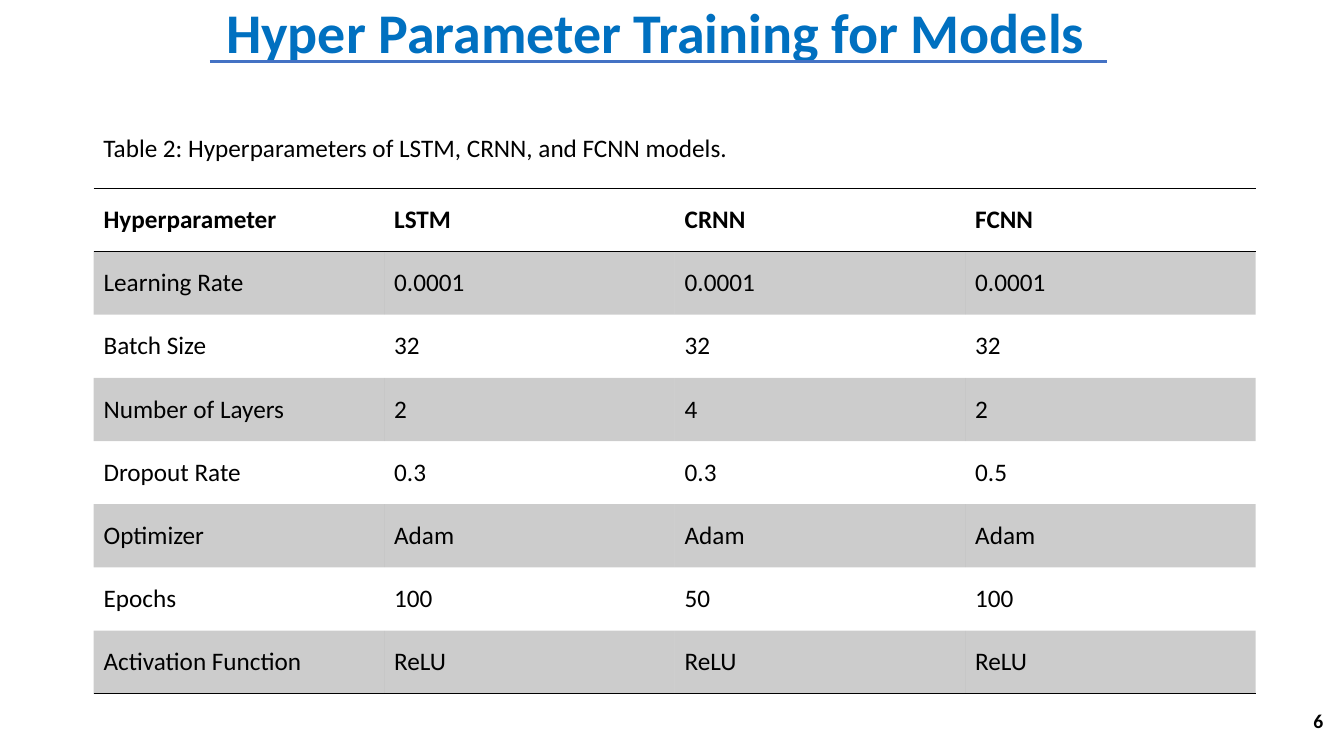
import pptx
import pptx.dml.color
import pptx.enum.shapes
import pptx.enum.text
import pptx.oxml
import pptx.oxml.ns
import pptx.util

Pt = pptx.util.Pt
Align = pptx.enum.text.PP_ALIGN
Anchor = pptx.enum.text.MSO_ANCHOR
qn = pptx.oxml.ns.qn
PLAIN = "{2D5ABB26-0587-4C30-8999-92F81FD0307C}"
ROWS = [
    ("Hyperparameter", "LSTM", "CRNN", "FCNN"),
    ("Learning Rate", "0.0001", "0.0001", "0.0001"),
    ("Batch Size", "32", "32", "32"),
    ("Number of Layers", "2", "4", "2"),
    ("Dropout Rate", "0.3", "0.3", "0.5"),
    ("Optimizer", "Adam", "Adam", "Adam"),
    ("Epochs", "100", "50", "100"),
    ("Activation Function", "ReLU", "ReLU", "ReLU"),
]


def color(code):
    return pptx.dml.color.RGBColor.from_string(code)


def write(frame, text, size=18, ink="000000", bold=False, align=Align.LEFT):
    para = frame.paragraphs[0]
    para.alignment = align
    run = para.add_run()
    run.text = text
    run.font.name = "Calibri"
    run.font.size = Pt(size)
    run.font.bold = bold
    run.font.color.rgb = color(ink)


def xml(tag, body="", attrs=""):
    space = pptx.oxml.ns.nsdecls("a")
    return pptx.oxml.parse_xml(f"<a:{tag} {space} {attrs}>{body}</a:{tag}>")


class Deck:
    """Holds the page style and the current slide."""

    def __init__(self, wide, high):
        self.show = pptx.Presentation()
        self.show.slide_width = Pt(wide)
        self.show.slide_height = Pt(high)
        self.slide = self.show.slides.add_slide(self.show.slide_layouts[5])
        self.ink = "000000"

    def frame(self, shape, anchor):
        frame = shape.text_frame
        frame.word_wrap = True
        frame.auto_size = pptx.enum.text.MSO_AUTO_SIZE.NONE
        frame.vertical_anchor = anchor
        return frame

    def title(self, text, left, top, wide, high, **style):
        shape = self.slide.shapes.title
        shape.left, shape.top = Pt(left), Pt(top)
        shape.width, shape.height = Pt(wide), Pt(high)
        write(self.frame(shape, Anchor.TOP), text, **style)

    def text(self, text, left, top, wide, high, anchor=Anchor.TOP, **style):
        shape = self.slide.shapes.add_textbox(Pt(left), Pt(top), Pt(wide), Pt(high))
        write(self.frame(shape, anchor), text, **style)

    def line(self, x1, y1, x2, y2, ink, width):
        kind = pptx.enum.shapes.MSO_CONNECTOR.STRAIGHT
        line = self.slide.shapes.add_connector(kind, Pt(x1), Pt(y1), Pt(x2), Pt(y2))
        line.line.color.rgb = color(ink)
        line.line.width = Pt(width)
        line._element.spPr.append(xml("effectLst"))

    def rule(self, cell, side):
        fill = f'<a:solidFill><a:srgbClr val="{self.ink}"/></a:solidFill>'
        cell._tc.get_or_add_tcPr().append(xml(side, fill, f'w="{Pt(1)}"'))

    def shade(self, cell, alpha):
        cell.fill.solid()
        cell.fill.fore_color.rgb = color(self.ink)
        tint = cell._tc.tcPr.find(qn("a:solidFill")).find(qn("a:srgbClr"))
        tint.append(xml("alpha", attrs=f'val="{alpha * 1000}"'))

    def table(self, rows, left, top, wide, high):
        count = len(rows)
        shape = self.slide.shapes.add_table(
            count, len(rows[0]), Pt(left), Pt(top), Pt(wide), Pt(high))
        table = shape.table
        table.horz_banding = False
        table._tbl.tblPr.find(qn("a:tableStyleId")).text = PLAIN
        for r, row in enumerate(rows):
            for c, text in enumerate(row):
                cell = table.cell(r, c)
                cell.vertical_anchor = Anchor.MIDDLE
                write(cell.text_frame, text, bold=r == 0)
                if r == 0:
                    self.rule(cell, "lnT")
                if r in (0, count - 1):
                    self.rule(cell, "lnB")
                if r % 2:
                    self.shade(cell, 20)
                else:
                    cell.fill.background()


def main():
    deck = Deck(960, 540)
    deck.table(ROWS, 66.8, 134.4, 830.2, 361.4)
    deck.title("Hyper Parameter Training for Models", 131.5, -5.3, 673.2, 55.4,
               size=40, ink="0070C0", bold=True, align=Align.CENTER)
    deck.line(150, 44, 790.6, 44, "4472C4", 2.25)
    deck.text("Table 2: Hyperparameters of LSTM, CRNN, and FCNN models.",
              66.8, 90.7, 543, 72.7)
    deck.text("6", 909.8, 500.4, 42.5, 28.8, anchor=Anchor.MIDDLE,
              size=14, bold=True, align=Align.RIGHT)
    deck.show.save("out.pptx")


if __name__ == "__main__":
    main()
